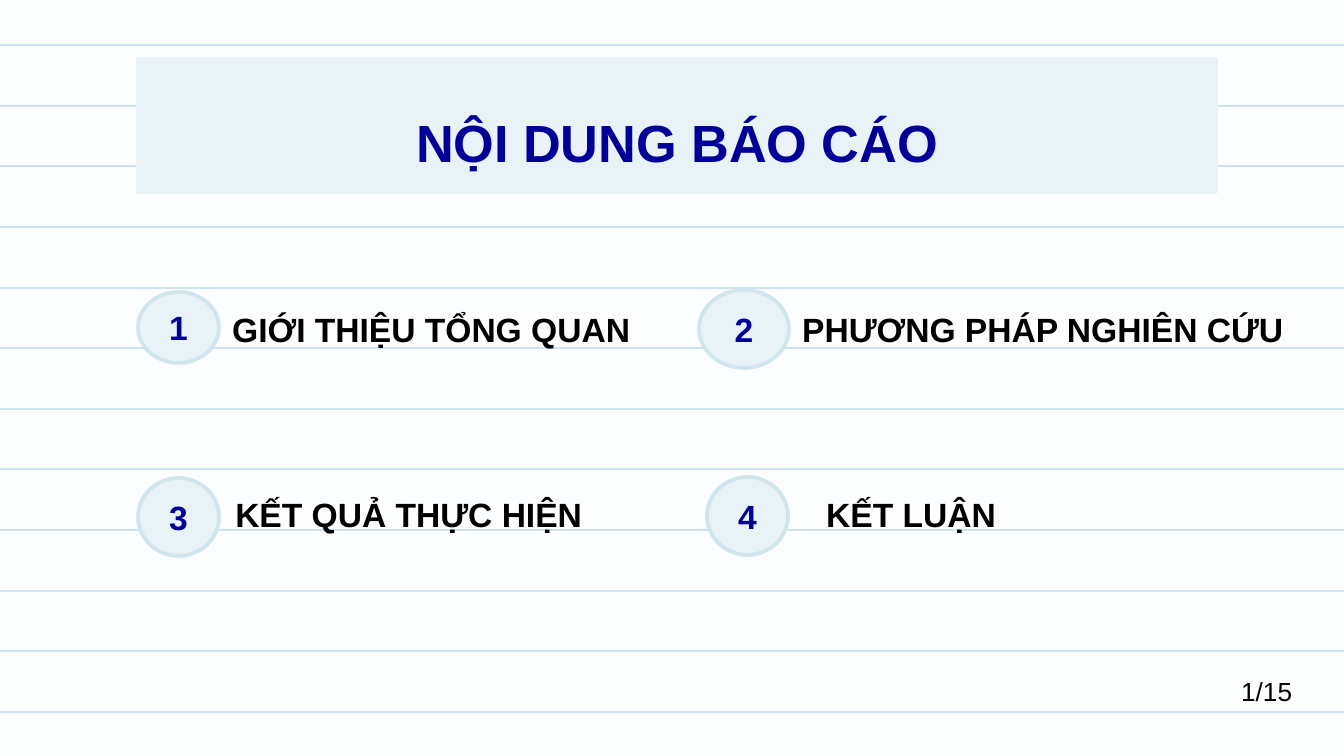
from dataclasses import dataclass
from typing import NamedTuple

from lxml.etree import SubElement
from pptx import Presentation
from pptx.dml.color import RGBColor
from pptx.enum.shapes import MSO_CONNECTOR, MSO_SHAPE
from pptx.enum.text import MSO_ANCHOR, MSO_AUTO_SIZE, PP_ALIGN
from pptx.oxml.ns import qn
from pptx.util import Emu, Pt

EMU_PER_PX = 914400 / 134.4
SLIDE_W, SLIDE_H = 1344, 756
RULE_COUNT, RULE_TOP, RULE_BOTTOM = 12, 45, 712


@dataclass(frozen=True)
class Theme:
    font: str = "Arial"
    paper: str = "FBFDFF"
    rule: str = "CFE2F3"
    panel: str = "E8F2F7"
    ring: str = "D1E5EF"
    accent: str = "000099"
    ink: str = "000000"
    title_size: int = 28
    item_size: int = 18
    page_size: int = 14
    rule_width: float = 0.75
    outline_width: int = 2


class Box(NamedTuple):
    left: int
    top: int
    width: int
    height: int


class AgendaItem(NamedTuple):
    badge: Box
    label: Box
    text: str


THEME = Theme()
TITLE_BOX = Box(138, 59, 1078, 133)
PAGE_BOX = Box(1228, 669, 87, 46)
AGENDA = [
    AgendaItem(Box(138, 292, 81, 71), Box(219, 302, 465, 54), "GIỚI THIỆU TỔNG QUAN"),
    AgendaItem(Box(699, 290, 90, 78), Box(789, 302, 543, 54), "PHƯƠNG PHÁP NGHIÊN CỨU"),
    AgendaItem(Box(138, 478, 81, 78), Box(222, 487, 415, 54), "KẾT QUẢ THỰC HIỆN"),
    AgendaItem(Box(707, 477, 81, 78), Box(813, 487, 415, 54), "KẾT LUẬN"),
]


def px(length: int) -> Emu:
    return Emu(round(length * EMU_PER_PX))


def emu_box(box: Box) -> list[Emu]:
    return [px(length) for length in box]


def rgb(color: str) -> RGBColor:
    return RGBColor.from_string(color)


def paint(sp, fill: str, line: str) -> None:
    sp.fill.solid()
    sp.fill.fore_color.rgb = rgb(fill)
    sp.line.color.rgb = rgb(line)
    sp.line.width = Pt(THEME.outline_width)


def write(sp, text: str, size: int, color: str, bold: bool = True,
          align: PP_ALIGN = PP_ALIGN.LEFT, anchor: MSO_ANCHOR = MSO_ANCHOR.TOP) -> None:
    tf = sp.text_frame
    tf.text = text
    tf.word_wrap = True
    tf.vertical_anchor = anchor
    p = tf.paragraphs[0]
    p.alignment = align
    font = p.runs[0].font
    font.name, font.size, font.bold = THEME.font, Pt(size), bold
    font.color.rgb = rgb(color)


def add_rules(s) -> None:
    """Draw the evenly spaced notebook lines across the page."""
    step = (RULE_BOTTOM - RULE_TOP) / (RULE_COUNT - 1)
    for i in range(RULE_COUNT):
        y = px(round(RULE_TOP + i * step))
        rule = s.shapes.add_connector(MSO_CONNECTOR.STRAIGHT, 0, y, px(SLIDE_W), y)
        rule.line.color.rgb = rgb(THEME.rule)
        rule.line.width = Pt(THEME.rule_width)
        SubElement(rule._element.spPr, qn("a:effectLst"))


def place_title(s, text: str) -> None:
    """Turn the title placeholder into a rounded panel above the rules."""
    title = s.shapes.title
    title.left, title.top, title.width, title.height = emu_box(TITLE_BOX)
    geometry = SubElement(title._element.spPr, qn("a:prstGeom"), prst="roundRect")
    SubElement(geometry, qn("a:avLst"))
    paint(title, THEME.panel, THEME.panel)
    write(title, text, THEME.title_size, THEME.accent,
          align=PP_ALIGN.CENTER, anchor=MSO_ANCHOR.MIDDLE)
    title.text_frame.auto_size = MSO_AUTO_SIZE.NONE
    title.text_frame.paragraphs[0].line_spacing = 1.5
    title._element.getparent().append(title._element)


def add_label(s, box: Box, text: str, size: int, bold: bool = True) -> None:
    label = s.shapes.add_textbox(*emu_box(box))
    write(label, text, size, THEME.ink, bold)
    label.text_frame.auto_size = MSO_AUTO_SIZE.SHAPE_TO_FIT_TEXT


def add_agenda_item(s, number: int, item: AgendaItem) -> None:
    badge = s.shapes.add_shape(MSO_SHAPE.OVAL, *emu_box(item.badge))
    badge.shadow.inherit = False
    paint(badge, THEME.panel, THEME.ring)
    write(badge, str(number), THEME.item_size, THEME.accent,
          align=PP_ALIGN.CENTER, anchor=MSO_ANCHOR.MIDDLE)
    add_label(s, item.label, item.text, THEME.item_size)


def main() -> None:
    prs = Presentation()
    prs.slide_width, prs.slide_height = px(SLIDE_W), px(SLIDE_H)
    s = prs.slides.add_slide(prs.slide_layouts.get_by_name("Title Only"))
    s.background.fill.solid()
    s.background.fill.fore_color.rgb = rgb(THEME.paper)

    add_rules(s)
    place_title(s, "NỘI DUNG BÁO CÁO")
    for number, item in enumerate(AGENDA, start=1):
        add_agenda_item(s, number, item)
    add_label(s, PAGE_BOX, "1/15", THEME.page_size, bold=False)
    prs.save("out.pptx")


if __name__ == "__main__":
    main()
